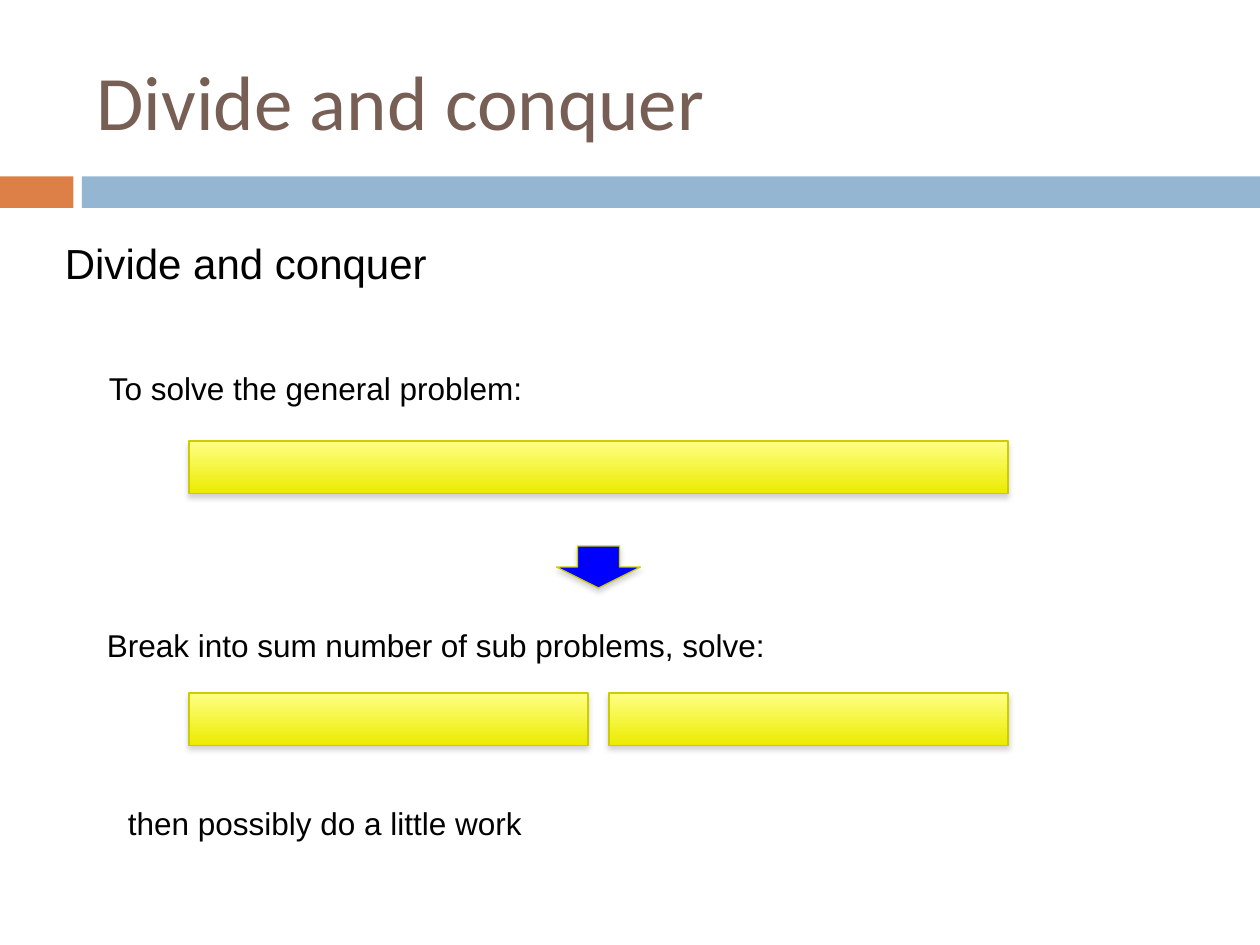
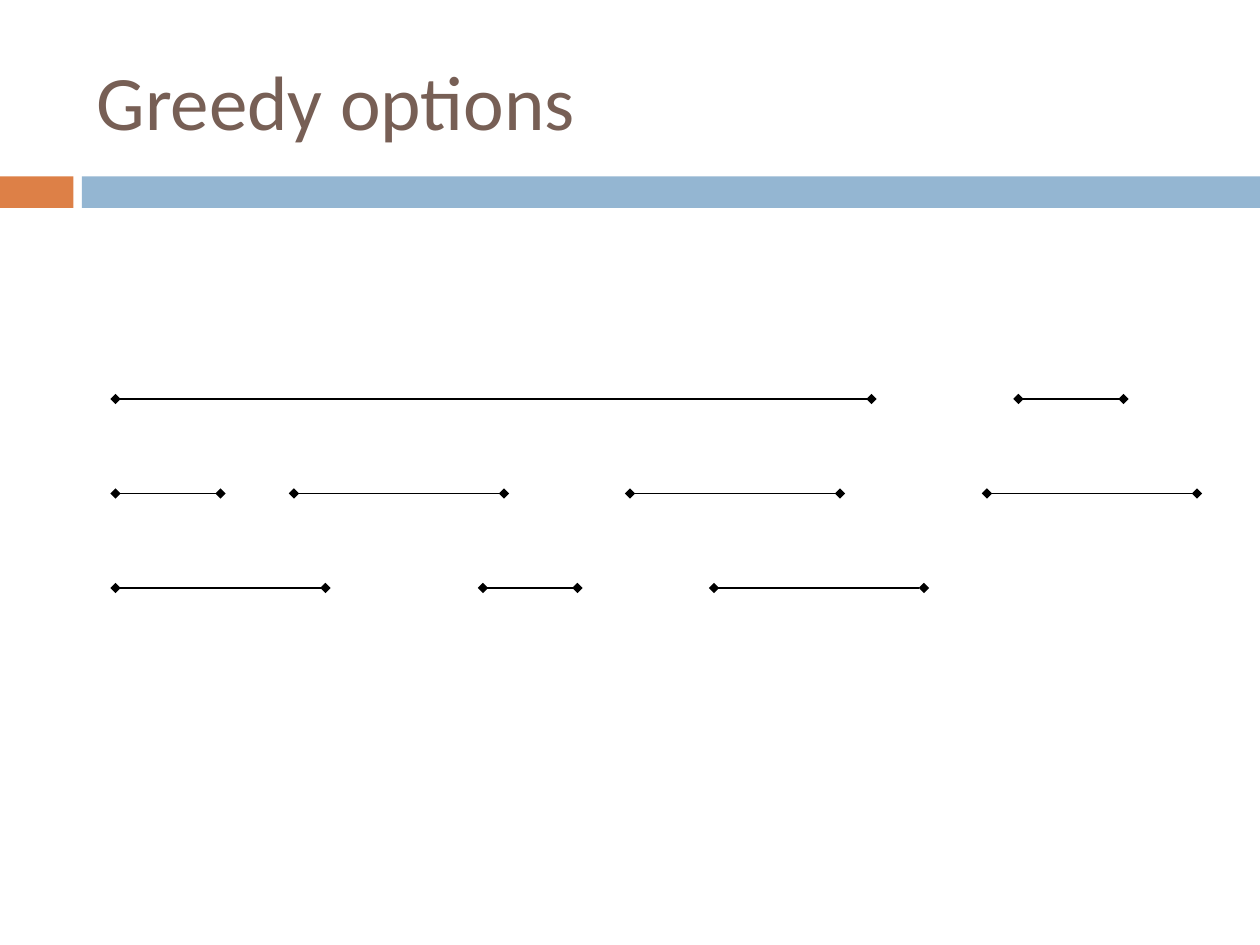
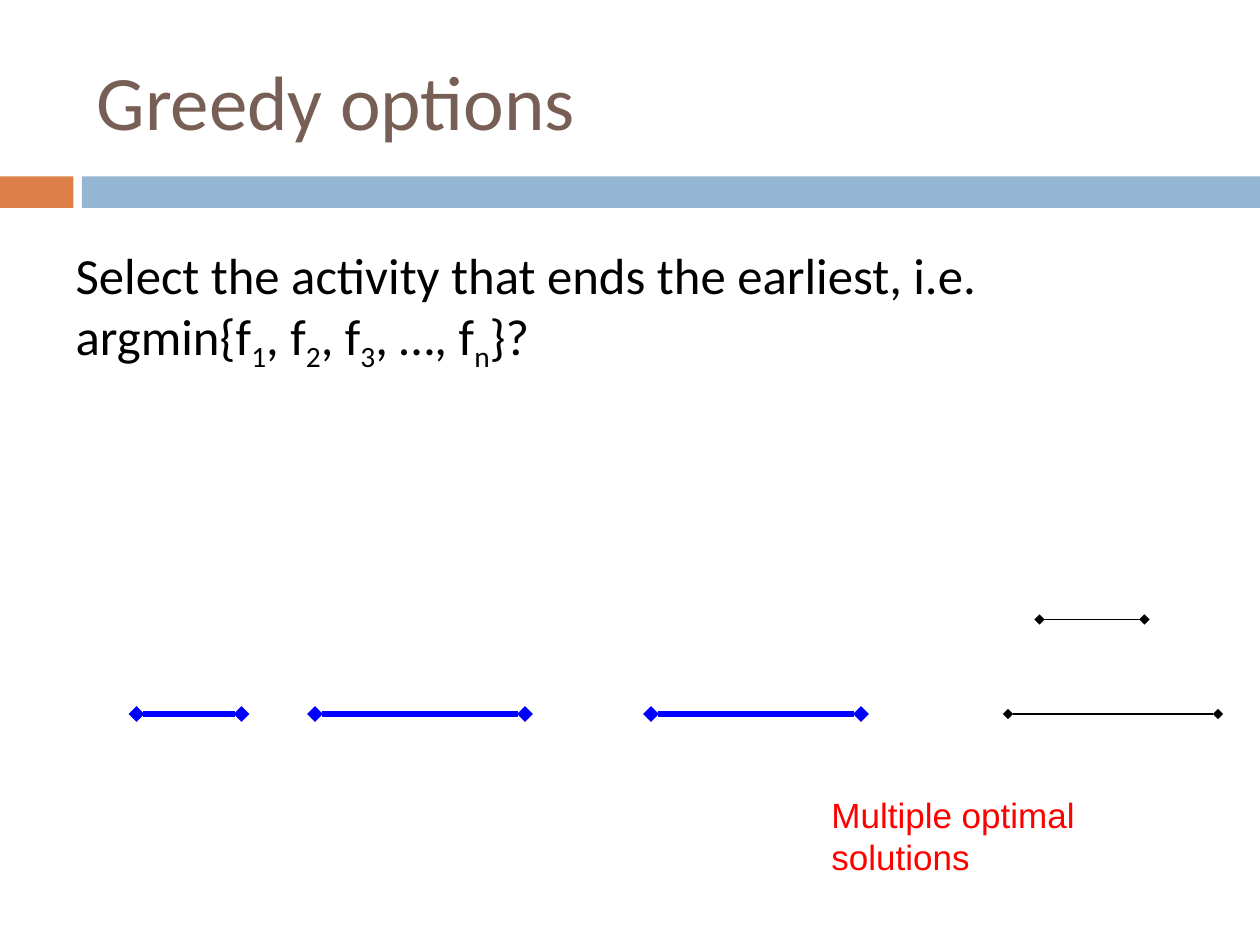
from dataclasses import dataclass
from typing import NamedTuple

from lxml import etree
from pptx import Presentation
from pptx import util as u
from pptx.dml.color import RGBColor
from pptx.enum import shapes, text
from pptx.oxml.ns import qn

PX = u.Inches(1) // 120  # one scale: 120 px to the inch


@dataclass(frozen=True)
class Theme:
    heading_font: str = "Calibri"
    label_font: str = "Arial"
    title_size: int = 44
    body_size: int = 29
    lead_size: int = 24
    note_size: int = 20
    label_size: int = 18
    title: str = "775F55"
    ink: str = "000000"
    accent: str = "DD8047"
    band: str = "94B6D2"
    bar_top: str = "FFFF85"
    bar_bottom: str = "EBEB00"
    edge: str = "CCCC00"
    chosen: str = "0000FF"
    alert: str = "FF0000"
    shadow: str = "808080"
    thin: float = 0.75
    thick: float = 3


THEME = Theme()


class Area(NamedTuple):
    left: int
    top: int
    width: int
    height: int

    def emu(self) -> list[int]:
        return [side * PX for side in self]


class Label(NamedTuple):
    words: str
    area: Area
    size: int = THEME.label_size
    color: str = THEME.ink
    wraps: bool = False
    space_before: int = 0


class Activity(NamedTuple):
    start: int
    end: int
    row: int


TITLE_AREA = Area(80, 30, 1070, 130)
BANDS = [(Area(0, 168, 70, 30), THEME.accent), (Area(78, 168, 1122, 30), THEME.band)]

# Activities on the time line
ROW_TOP, ROW_STEP = 380, 90
LONGEST = Activity(110, 830, 0)
LATE_SHORT = Activity(970, 1070, 0)
LATE_LONG = Activity(940, 1140, 1)
EARLIEST_ENDING = [Activity(110, 210, 1), Activity(280, 480, 1), Activity(600, 800, 1)]
LAST_ROW = [Activity(110, 310, 2), Activity(460, 550, 2), Activity(680, 880, 2)]


def rgb(color: str) -> RGBColor:
    return RGBColor.from_string(color)


def format_runs(para, font: str, size: int, color: str) -> None:
    for span in para.runs:
        span.font.name = font
        span.font.size = u.Pt(size)
        span.font.color.rgb = rgb(color)


def place(shape, area: Area) -> None:
    shape.left, shape.top, shape.width, shape.height = area.emu()


# Shared frame of every slide
def add_page(deck, title: str, layout: str = "Title Only"):
    page = deck.slides.add_slide(deck.slide_layouts.get_by_name(layout))
    for area, color in BANDS:
        band = page.shapes.add_shape(shapes.MSO_SHAPE.RECTANGLE, *area.emu())
        band.shadow.inherit = False
        band.fill.solid()
        band.fill.fore_color.rgb = rgb(color)
        band.line.fill.background()
    heading = page.shapes.title
    place(heading, TITLE_AREA)
    frame = heading.text_frame
    frame.text = title
    frame.auto_size = text.MSO_AUTO_SIZE.NONE
    frame.vertical_anchor = text.MSO_ANCHOR.MIDDLE
    para = frame.paragraphs[0]
    para.alignment = text.PP_ALIGN.LEFT
    format_runs(para, THEME.heading_font, THEME.title_size, THEME.title)
    return page


def add_label(page, label: Label) -> None:
    box = page.shapes.add_textbox(*label.area.emu())
    frame = box.text_frame
    frame.text = label.words
    frame.word_wrap = label.wraps
    frame.auto_size = text.MSO_AUTO_SIZE.SHAPE_TO_FIT_TEXT
    para = frame.paragraphs[0]
    para.space_before = u.Pt(label.space_before)
    format_runs(para, THEME.label_font, label.size, label.color)


def add_raised_shape(page, kind, area: Area):
    """Add a shape with the thin edge and soft shadow of the diagram."""
    shape = page.shapes.add_shape(kind, *area.emu())
    shape.line.color.rgb = rgb(THEME.edge)
    shape.line.width = u.Pt(THEME.thin)
    shape.shadow.inherit = False
    effects = shape._element.spPr.find(qn("a:effectLst"))
    outer = etree.SubElement(
        effects, qn("a:outerShdw"), blurRad=str(u.Pt(3.1)), dist=str(u.Pt(1.8)),
        dir="5400000", rotWithShape="0")
    tone = etree.SubElement(outer, qn("a:srgbClr"), val=THEME.shadow)
    etree.SubElement(tone, qn("a:alpha"), val="35000")
    return shape


def add_problem(page, area: Area) -> None:
    bar = add_raised_shape(page, shapes.MSO_SHAPE.RECTANGLE, area)
    bar.fill.gradient()
    bar.fill.gradient_angle = 270
    for stop, color in zip(bar.fill.gradient_stops, (THEME.bar_top, THEME.bar_bottom)):
        stop.color.rgb = rgb(color)


def add_activities(page, activities: list[Activity], color: str = THEME.ink,
                   width: float = THEME.thin, shift: tuple[int, int] = (0, 0)) -> None:
    right, down = shift
    for activity in activities:
        y = (ROW_TOP + activity.row * ROW_STEP + down) * PX
        line = page.shapes.add_connector(
            shapes.MSO_CONNECTOR.STRAIGHT,
            (activity.start + right) * PX, y, (activity.end + right) * PX, y)
        line.line.color.rgb = rgb(color)
        line.line.width = u.Pt(width)
        properties = line._element.spPr
        outline = properties.find(qn("a:ln"))
        for end in ("a:headEnd", "a:tailEnd"):
            etree.SubElement(outline, qn(end), type="diamond")
        etree.SubElement(properties, qn("a:effectLst"))


def fill_question(body) -> None:
    """Write the question; every second piece is a subscript."""
    place(body, Area(60, 226, 1007, 224))
    frame = body.text_frame
    frame.auto_size = text.MSO_AUTO_SIZE.NONE
    para = frame.paragraphs[0]
    pieces = ["Select the activity that ends the earliest, i.e. argmin{f", "1",
              ", f", "2", ", f", "3", ", …, f", "n", "}?"]
    for piece in pieces:
        para.add_run().text = piece
    para.space_before = u.Pt(7)
    format_runs(para, THEME.heading_font, THEME.body_size, THEME.ink)
    for span in para.runs[1::2]:
        span._r.get_or_add_rPr().set("baseline", "-25000")
    settings = para._p.get_or_add_pPr()
    settings.set("marL", "0")
    settings.set("indent", "0")
    etree.SubElement(settings, qn("a:buNone"))


def build_divide_and_conquer(deck) -> None:
    page = add_page(deck, "Divide and conquer")
    left, width, height, gap = 180, 780, 50, 20

    # Whole problem, then its two halves
    add_problem(page, Area(left, 420, width, height))
    half = (width - gap) // 2
    for index in range(2):
        add_problem(page, Area(left + index * (half + gap), 660, half, height))

    arrow_width = 80
    arrow_left = left + (width - arrow_width) // 2
    arrow = add_raised_shape(page, shapes.MSO_SHAPE.DOWN_ARROW,
                             Area(arrow_left, 520, arrow_width, 40))
    arrow.fill.solid()
    arrow.fill.fore_color.rgb = rgb(THEME.chosen)

    for label in (
        Label("Divide and conquer", Area(50, 220, 372, 61), THEME.lead_size),
        Label("To solve the general problem:", Area(92, 346, 421, 48)),
        Label("Break into sum number of sub problems, solve:", Area(90, 590, 658, 48)),
        Label("then possibly do a little work", Area(110, 760, 403, 48)),
    ):
        add_label(page, label)


def build_all_activities(deck) -> None:
    page = add_page(deck, "Greedy options")
    add_activities(page, [LONGEST, LATE_SHORT, *EARLIEST_ENDING, LATE_LONG, *LAST_ROW])


def build_earliest_end(deck) -> None:
    page = add_page(deck, "Greedy options", "Title and Content")
    fill_question(page.placeholders[1])
    shift = (20, 210)
    add_activities(page, EARLIEST_ENDING, THEME.chosen, THEME.thick, shift)
    add_activities(page, [LATE_LONG, LATE_SHORT], shift=shift)
    add_label(page, Label("Multiple optimal solutions", Area(780, 750, 300, 92),
                          THEME.note_size, THEME.alert, wraps=True, space_before=2))


def main() -> None:
    deck = Presentation()
    deck.slide_width, deck.slide_height = 1200 * PX, 900 * PX
    build_divide_and_conquer(deck)
    build_all_activities(deck)
    build_earliest_end(deck)
    deck.save("out.pptx")


if __name__ == "__main__":
    main()
